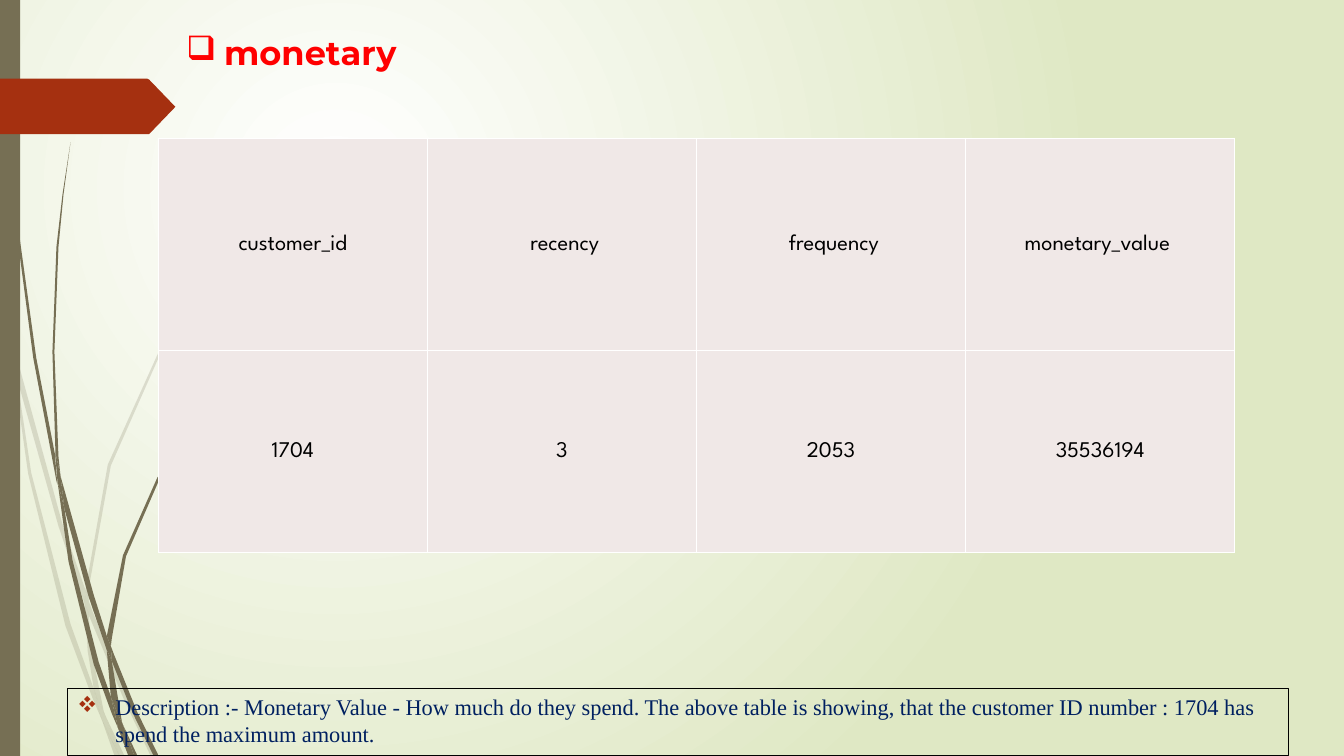
"""Builds the monetary slide: leafy side decoration, a customer table and a description."""
from lxml import etree
from pptx import Presentation
from pptx.dml.color import RGBColor
from pptx.enum.shapes import MSO_SHAPE
from pptx.enum.text import MSO_ANCHOR, PP_ALIGN
from pptx.oxml import parse_xml
from pptx.oxml.ns import nsdecls, qn
from pptx.util import Inches, Pt

RECTANGLE = MSO_SHAPE.RECTANGLE
MIDDLE, TOP = MSO_ANCHOR.MIDDLE, MSO_ANCHOR.TOP
LEFT, CENTER = PP_ALIGN.LEFT, PP_ALIGN.CENTER

UNIT = 0.1
COLUMNS, ROWS = 133.33, 75
BROWN, RUST, RED, NAVY = "766F54", "A53010", "FF0000", "002060"
BLACK, WHITE, BLUSH, SAGE = "000000", "FFFFFF", "F0E8E7", "DFE8C4"
BOX_BULLET, DIAMOND_BULLET = "q", "v"

PALE_LEAVES = [
    [(1.1, 35), (0.9, 32.2), (0, 28.2), (0, 29.9), (1, 34.4)],
    [(5.8, 52.2), (8.4, 59.9), (8.5, 58.6), (6.2, 52), (1.4, 34.5), (1.7, 37.6)],
    [(9.2, 60.7), (8.8, 59.6), (8.8, 61), (12.3, 69.4), (15, 75.1), (15.5, 75.1),
     (12.7, 69.2)],
    [(11.9, 75.1), (12.4, 75.1), (10.5, 71.1)],
    [(9.3, 68.3), (7, 61.9), (3.1, 46.9), (1.7, 37.6), (1.1, 35), (2.8, 47),
     (6.5, 62.1), (9.2, 69.3), (10.1, 71.4), (9.9, 70.7)],
    [(8.4, 59.9), (8.7, 64.6), (9.3, 68.3), (9.6, 69.2), (10.5, 71.1), (10.3, 70.6),
     (9.1, 64.6), (8.8, 61), (8.8, 60.8)],
    [(8.8, 58.4), (11, 46.2), (16, 34.9), (22.9, 24.5), (26.8, 19.8), (29, 17.5),
     (31.2, 15.4), (31.2, 15.3), (28.9, 17.5), (26.8, 19.7), (22.8, 24.4),
     (15.8, 34.8), (10.7, 46.1), (8.5, 58.4), (8.5, 58.6), (8.8, 59.6)],
    [(10.1, 71.4), (11.4, 75.1), (11.9, 75.1)],
    [(8.8, 60.8), (8.8, 61), (8.8, 59.6), (8.5, 58.6), (8.4, 59.9)],
    [(9.6, 69.2), (9.3, 68.3), (9.9, 70.7), (10.1, 71.4), (11.9, 75.1), (10.5, 71.1)],
]
DARK_LEAVES = [
    [(0.7, 11), (1.7, 23.3), (3.3, 35.5), (5.6, 47.7), (5.7, 48.1), (5.5, 45.7),
     (5.5, 45.3), (3.6, 35.5), (1.9, 23.2), (0.8, 10.9), (0.5, 4.8), (0.4, 0),
     (0.3, 0), (0.4, 4.8)],
    [(8.8, 59.2), (10.6, 64.5), (10.6, 63.3), (10.6, 63.1), (9.3, 59), (6, 47.2),
     (6.4, 50.5)],
    [(11.3, 64.9), (11, 64.1), (11.1, 65.6), (13.2, 70.8), (15.2, 74.9), (15.7, 74.9),
     (13.6, 70.6)],
    [(11, 69.1), (9.8, 65.7), (7.2, 55.6), (6.4, 50.5), (5.7, 47.7), (6.8, 55.7),
     (9.3, 65.9), (11.1, 70.8), (11.7, 72.2), (11.6, 71.7)],
    [(6, 47.2), (5.8, 45.3), (5.4, 34.9), (5.8, 24.5), (6.3, 19.3), (7, 14.1),
     (6.2, 19.3), (5.6, 24.5), (5.2, 34.9), (5.5, 44.9)],
    [(13.3, 74.9), (13.6, 74.9), (12.2, 71.9)],
    [(5.7, 47.7), (6.4, 50.5), (6, 47.2), (5.5, 44.9), (5.5, 45.3)],
    [(11.1, 63.3), (12.5, 55.2), (15.8, 47.6), (20.5, 40.6), (23.1, 37.4),
     (24.5, 35.9), (26.1, 34.4), (26, 34.4), (24.5, 35.8), (23.1, 37.3),
     (20.4, 40.5), (15.6, 47.4), (12.2, 55.1), (10.6, 63.1), (11, 64.1)],
    [(11.7, 72.2), (12.7, 74.9), (13.1, 74.9)],
    [(10.6, 64.5), (11, 69.1), (11.6, 70.6), (12.2, 71.9), (12.1, 71.6), (11.1, 65.6),
     (10.9, 65.1)],
    [(10.6, 64.5), (10.9, 65.1), (11.1, 65.6), (11, 64.1), (10.6, 63.1), (10.6, 63.3)],
    [(11.6, 70.6), (11, 69.1), (11.6, 71.7), (11.7, 72.2), (13, 74.9), (13.3, 74.9),
     (12.2, 71.9)],
]
ARROW = [(17.4, 10.6), (14.8, 13.3), (14.6, 13.3), (0, 13.3), (0, 7.8), (14.6, 7.8),
         (14.8, 7.9)]
CUSTOMER_ROWS = [
    ["customer_id", "\u00a0recency", "\u00a0frequency", "monetary_value\u00a0"],
    ["1704", "3", "2053", "35536194"],
]
DESCRIPTION = (
    "Description :- Monetary Value - How much do they spend. The above table is "
    "showing, that the customer ID number : 1704 has spend the maximum amount."
)


def color(code):
    """Turn a hex string into a colour."""
    return RGBColor.from_string(code)


def grid(count):
    """Turn grid columns or rows into a length."""
    return Inches(count * UNIT)


def write(frame, text, *, font, size, ink, bold=False, align=LEFT, anchor=TOP,
          bullet=None, bullet_ink=None):
    """Write one formatted paragraph, with a hanging bullet if given."""
    frame.word_wrap = True
    frame.vertical_anchor = anchor
    para = frame.paragraphs[0]
    para.alignment = align
    span = para.add_run()
    span.text = text
    span.font.name, span.font.size, span.font.bold = font, Pt(size), bold
    span.font.color.rgb = color(ink)
    if bullet:
        layout = para._p.get_or_add_pPr()
        layout.set("marL", str(grid(3.75)))
        layout.set("indent", str(-grid(3.75)))
        tint = etree.SubElement(layout, qn("a:buClr"))
        etree.SubElement(tint, qn("a:srgbClr"), val=bullet_ink or ink)
        etree.SubElement(layout, qn("a:buFont"), typeface="Wingdings", charset="2")
        etree.SubElement(layout, qn("a:buChar"), char=bullet)


class SlidePainter:
    """Holds the style and the current slide."""

    heading_font, table_font, body_font = "Montserrat", "League Spartan", "Times New Roman"
    heading_size, body_size = 24, 16

    def __init__(self, page):
        """Keep the slide to paint on."""
        self.page = page

    def background(self, inner, outer):
        """Fill the page with a round gradient."""
        self.page._element.cSld.insert(0, parse_xml(
            f'<p:bg {nsdecls("p", "a")}><p:bgPr><a:gradFill rotWithShape="1"><a:gsLst>'
            f'<a:gs pos="0"><a:srgbClr val="{inner}"/></a:gs>'
            f'<a:gs pos="100000"><a:srgbClr val="{outer}"/></a:gs></a:gsLst>'
            '<a:path path="circle"><a:fillToRect l="50000" t="50000" r="100000" b="100000"/>'
            '</a:path></a:gradFill><a:effectLst/></p:bgPr></p:bg>'))

    def paint(self, shape, fill, opacity=100):
        """Give a shape a plain fill without line or shadow."""
        shape.shadow.inherit = False
        shape.line.fill.background()
        shape.fill.solid()
        shape.fill.fore_color.rgb = color(fill)
        if opacity < 100:
            tint = shape._element.spPr.find(".//" + qn("a:srgbClr"))
            etree.SubElement(tint, qn("a:alpha"), val=str(opacity * 1000))

    def block(self, left, top, width, height):
        """Add a rectangle."""
        return self.page.shapes.add_shape(RECTANGLE, *map(grid, (left, top, width, height)))

    def outline(self, points, fill, opacity=100):
        """Add a filled closed outline."""
        corners = [(grid(x), grid(y)) for x, y in points]
        builder = self.page.shapes.build_freeform(*corners[0])
        builder.add_line_segments(corners[1:], close=True)
        self.paint(builder.convert_to_shape(), fill, opacity)

    def text(self, left, top, width, height, words, **style):
        """Add a text box."""
        box = self.page.shapes.add_textbox(*map(grid, (left, top, width, height)))
        write(box.text_frame, words, **style)

    def framed_text(self, left, top, width, height, words, border, **style):
        """Add text in an unfilled rectangle with a thin border."""
        box = self.block(left, top, width, height)
        box.shadow.inherit = False
        box.fill.background()
        box.line.color.rgb = color(border)
        box.line.width = Pt(0.75)
        write(box.text_frame, words, **style)

    def table(self, left, top, width, heights, rows):
        """Add a table with equal columns and white cell borders."""
        table = self.page.shapes.add_table(
            len(rows), len(rows[0]), *map(grid, (left, top, width, sum(heights)))).table
        table.first_row = table.horz_banding = False
        for row, height, words in zip(table.rows, heights, rows):
            row.height = grid(height)
            for cell, word in zip(row.cells, words):
                self.cell(cell, word)

    def cell(self, cell, word):
        """Format and fill one table cell."""
        cell.margin_left = cell.margin_right = cell.margin_top = grid(0.1)
        cell.margin_bottom = 0
        for side in ("a:lnL", "a:lnR", "a:lnT", "a:lnB"):
            edge = etree.SubElement(cell._tc.get_or_add_tcPr(), qn(side), w=str(Pt(1)))
            paint = etree.SubElement(edge, qn("a:solidFill"))
            etree.SubElement(paint, qn("a:srgbClr"), val=WHITE)
        cell.fill.solid()
        cell.fill.fore_color.rgb = color(BLUSH)
        write(cell.text_frame, word, font=self.table_font, size=self.body_size,
              ink=BLACK, align=CENTER)
        cell.vertical_anchor = MIDDLE


deck = Presentation()
deck.slide_width, deck.slide_height = grid(COLUMNS), grid(ROWS)
painter = SlidePainter(deck.slides.add_slide(deck.slide_layouts[6]))

painter.background(WHITE, SAGE)
for leaves, opacity in ((PALE_LEAVES, 20), (DARK_LEAVES, 100)):
    for leaf in leaves:
        painter.outline(leaf, BROWN, opacity)
painter.paint(painter.block(0, 0, 2, ROWS), BROWN)
painter.outline(ARROW, RUST)

painter.text(17.5, 2.7, 115.8, 57.1, "monetary", font=painter.heading_font,
             size=painter.heading_size, ink=RED, bold=True, bullet=BOX_BULLET)
painter.framed_text(6.7, 68.3, 121.1, 6.7, DESCRIPTION, BLACK, font=painter.body_font,
                    size=painter.body_size, ink=NAVY, bullet=DIAMOND_BULLET,
                    bullet_ink=RUST)
painter.table(15.7, 13.7, 106.8, [21.05, 20.05], CUSTOMER_ROWS)

deck.save("out.pptx")
